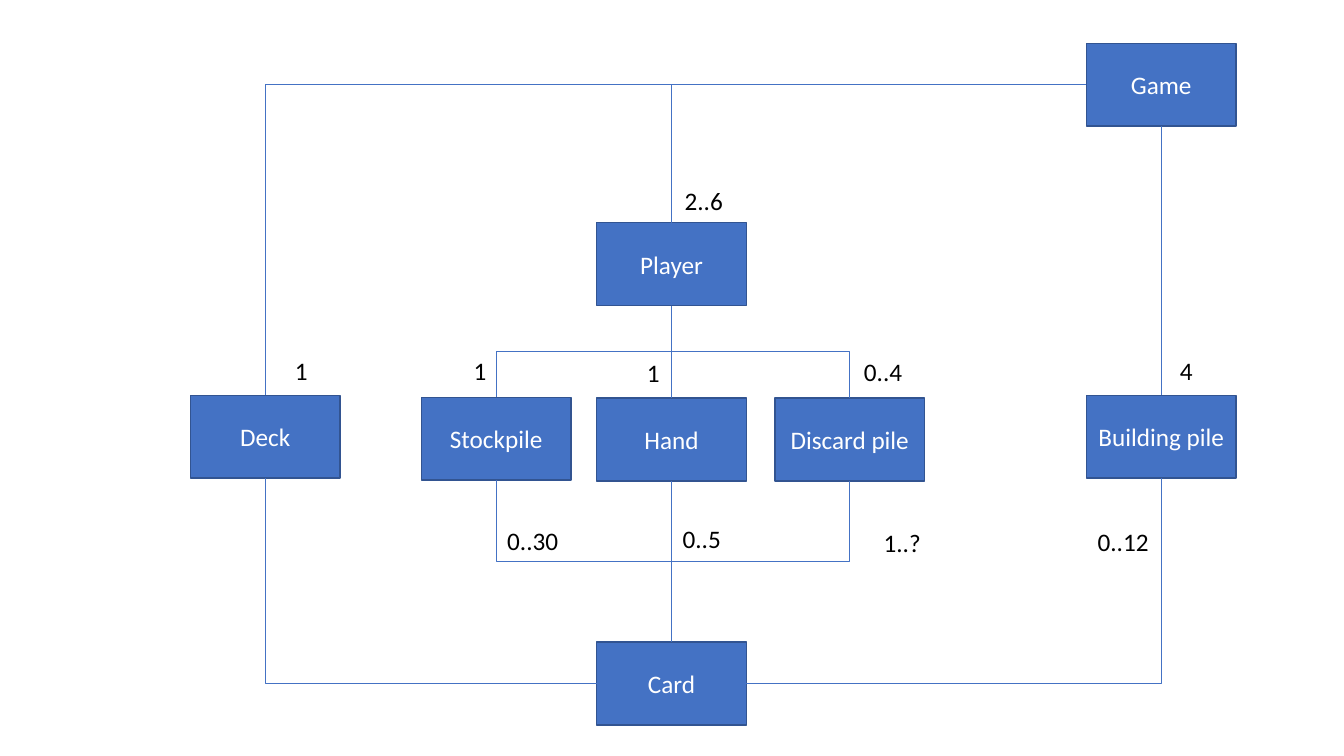
"""Build a class diagram of a card game with its multiplicities."""
from lxml import etree
from pptx import Presentation
from pptx.dml.color import RGBColor
from pptx.enum.shapes import MSO_CONNECTOR, MSO_SHAPE
from pptx.enum.text import MSO_ANCHOR, MSO_AUTO_SIZE, PP_ALIGN
from pptx.oxml.ns import qn
from pptx.util import Cm, Pt

RECTANGLE = MSO_SHAPE.RECTANGLE
STRAIGHT, ELBOW = MSO_CONNECTOR.STRAIGHT, MSO_CONNECTOR.ELBOW
MIDDLE, CENTER = MSO_ANCHOR.MIDDLE, PP_ALIGN.CENTER
FIT_TEXT = MSO_AUTO_SIZE.SHAPE_TO_FIT_TEXT
TOP, LEFT, BOTTOM, RIGHT = range(4)
BLUE, DARK_BLUE, WHITE, BLACK = "4472C4", "325491", "FFFFFF", "000000"
BOX_WIDTH, BOX_HEIGHT = 3.77, 2.09
LABEL_HEIGHT = 1.02


def rgb(value):
    return RGBColor.from_string(value)


def write(shape, text, color):
    shape.text_frame.word_wrap = True
    para = shape.text_frame.paragraphs[0]
    para.alignment = CENTER
    span = para.add_run()
    span.text = text
    span.font.name = "Calibri"
    span.font.size = Pt(18)
    span.font.color.rgb = rgb(color)


deck = Presentation()
deck.slide_width, deck.slide_height = Cm(33.87), Cm(19.05)
page = deck.slides.add_slide(deck.slide_layouts[6])

classes = [
    ("Card", 15.04, 16.18),
    ("Deck", 4.8, 9.96),
    ("Player", 15.04, 5.61),
    ("Stockpile", 10.62, 10.01),
    ("Hand", 15.04, 10.03),
    ("Discard pile", 19.53, 10.03),
    ("Game", 27.38, 1.09),
    ("Building pile", 27.38, 9.96),
]
boxes = {}
for name, left, top in classes:
    box = page.shapes.add_shape(
        RECTANGLE, Cm(left), Cm(top), Cm(BOX_WIDTH), Cm(BOX_HEIGHT))
    box.shadow.inherit = False
    box.fill.solid()
    box.fill.fore_color.rgb = rgb(BLUE)
    box.line.color.rgb = rgb(DARK_BLUE)
    box.line.width = Pt(1)
    box.text_frame.vertical_anchor = MIDDLE
    write(box, name, WHITE)
    boxes[name] = box

associations = [
    ("Deck", BOTTOM, "Card", LEFT),
    ("Player", BOTTOM, "Stockpile", TOP),
    ("Stockpile", BOTTOM, "Card", TOP),
    ("Player", BOTTOM, "Discard pile", TOP),
    ("Player", BOTTOM, "Hand", TOP),
    ("Discard pile", BOTTOM, "Card", TOP),
    ("Hand", BOTTOM, "Card", TOP),
    ("Game", LEFT, "Player", TOP),
    ("Game", BOTTOM, "Building pile", TOP),
    ("Building pile", BOTTOM, "Card", RIGHT),
    ("Game", LEFT, "Deck", TOP),
]
for source, source_side, target, target_side in associations:
    aligned = boxes[source].left == boxes[target].left
    line = page.shapes.add_connector(STRAIGHT if aligned else ELBOW, 0, 0, 0, 0)
    line.begin_connect(boxes[source], source_side)
    line.end_connect(boxes[target], target_side)
    line.line.color.rgb = rgb(BLUE)
    line.line.width = Pt(0.5)
    properties = line._element.spPr
    etree.SubElement(properties, qn("a:effectLst"))
    if aligned:
        continue
    if (source_side, target_side) != (BOTTOM, TOP):
        properties.find(qn("a:prstGeom")).set("prst", "bentConnector2")
    if source_side == BOTTOM:
        rightward = line.end_x > line.begin_x
        across, down = line.width, line.height
        line.left += (across - down) // 2
        line.top += (down - across) // 2
        line.width, line.height = down, across
        frame = properties.find(qn("a:xfrm"))
        frame.set("rot", str((270 if rightward else 90) * 60000))
        frame.set("flipH", "1" if rightward else "0")

multiplicities = [
    ("2..6", 16.92, 4.55, 1.63),
    ("1", 6.78, 8.84, 1.63),
    ("1", 11.28, 8.84, 1.63),
    ("1", 15.65, 8.89, 1.63),
    ("0..4", 21.44, 8.86, 1.63),
    ("0..30", 12.47, 13.11, 1.91),
    ("0..5", 16.87, 13.06, 1.63),
    ("1..?", 21.92, 13.16, 1.63),
    ("0..12", 27.38, 13.13, 1.85),
    ("4", 29.08, 8.84, 1.63),
]
for text, left, top, width in multiplicities:
    label = page.shapes.add_textbox(Cm(left), Cm(top), Cm(width), Cm(LABEL_HEIGHT))
    label.text_frame.auto_size = FIT_TEXT
    write(label, text, BLACK)

deck.save("out.pptx")
